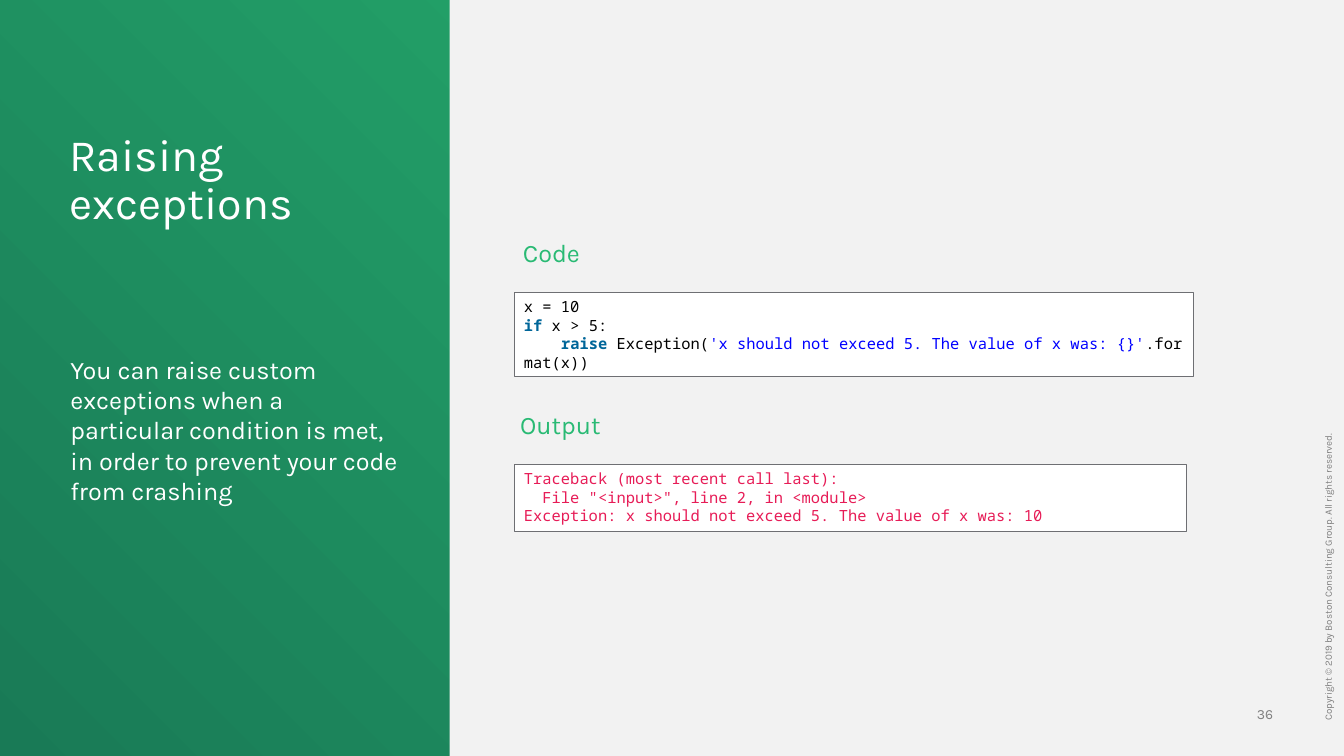
from dataclasses import dataclass

from lxml import etree
from pptx import Presentation, util as u
from pptx.dml.color import RGBColor
from pptx.enum import shapes, text

COLS, ROWS = 160, 90
CELL = 7.5 / ROWS
NBSP = chr(160)
MID, TOP, LOW = (text.MSO_ANCHOR.MIDDLE, text.MSO_ANCHOR.TOP,
                 text.MSO_ANCHOR.BOTTOM)
LEFT, MEAN, RIGHT = (text.PP_ALIGN.LEFT, text.PP_ALIGN.CENTER,
                     text.PP_ALIGN.RIGHT)


@dataclass(frozen=True)
class Theme:
    sans: str = "Karla"
    mono: str = "Noto Sans Mono"
    green: str = "29BA74"
    dark: str = "197A56"
    pale: str = "F2F2F2"
    white: str = "FFFFFF"
    black: str = "000000"
    grey: str = "808080"
    edge: str = "6E6F73"
    key: str = "006699"
    quote: str = "0000FF"
    error: str = "E71C57"
    title: int = 32
    body: int = 18
    code: int = 11
    page: int = 10
    legal: int = 7


T = Theme()


def rgb(tone):
    return RGBColor.from_string(tone)


def place(box):
    """Turn a box in grid cells into slide lengths."""
    return [u.Inches(n * CELL) for n in box]


def rect(slide, box, fill, edge=None):
    shape = slide.shapes.add_shape(shapes.MSO_SHAPE.RECTANGLE, *place(box))
    shape.shadow.inherit = False
    shape.fill.solid()
    shape.fill.fore_color.rgb = rgb(fill)
    if edge:
        shape.line.color.rgb = rgb(edge)
        shape.line.width = u.Pt(0.75)
    else:
        shape.line.fill.background()
    return shape


def write(shape, lines, font, size, align=LEFT, anchor=TOP, inset=True,
          space=None):
    """Fill a shape with lines, each a list of (words, colour, bold) runs."""
    frame = shape.text_frame
    frame.word_wrap = True
    frame.vertical_anchor = anchor
    if not inset:
        frame.margin_left = frame.margin_right = 0
        frame.margin_top = frame.margin_bottom = 0
    for i, line in enumerate(lines):
        para = frame.add_paragraph() if i else frame.paragraphs[0]
        para.alignment = align
        if space:
            para.line_spacing = space
        for words, tone, bold in line:
            run = para.add_run()
            run.text = words
            run.font.name = font
            run.font.size = u.Pt(size)
            run.font.bold = bold
            run.font.color.rgb = rgb(tone)


def label(slide, box, words, size, tone, **style):
    shape = slide.shapes.add_textbox(*place(box))
    write(shape, [[(words, tone, False)]], T.sans, size, **style)
    return shape


def back(slide):
    fill = slide.background.fill
    fill.gradient()
    fill.gradient_angle = 225
    for stop, tone in zip(fill.gradient_stops, (T.green, T.dark)):
        stop.color.rgb = rgb(tone)


def side(slide, box, title, body):
    """Heading and message on the green band."""
    x, y, w, h = box
    label(slide, (x + 8.28, y + 15.24, w - 12.48, 12.6), title, T.title,
          T.white, anchor=MID, inset=False, space=0.9)
    label(slide, (x + 7.2, y + 22.32, w - 12, h - 32.28), body, T.body,
          T.white, anchor=MID)


def sample(slide, box, name, mid, lines):
    """Framed listing, with its name centred mid cells from the left edge."""
    x, y, w, h = box
    wide, tall = 29, 11.16
    label(slide, (x + mid - wide / 2, y - 10.32, wide, tall), name, T.body,
          T.green, align=MEAN, anchor=MID)
    write(rect(slide, box, T.white, T.edge), lines, T.mono, T.code)


def foot(slide, box, legal, page):
    """Page number and upright copyright line in the right margin."""
    x, y, w, h = box
    label(slide, (x + w - 13.48, y + h - 6, 5.04, 2.04), page, T.page,
          T.grey, align=RIGHT, anchor=LOW, inset=False)
    long, thin = 67.32, 1.32
    note = label(slide, (x + w - 1.78 - long / 2, y + h - 37.86 - thin / 2,
                         long, thin),
                 legal, T.legal, T.grey, inset=False, space=0.9)
    note.rotation = 270


def fixed(lines):
    """Keep code spacing unbroken, so that long lines wrap anywhere."""
    return [[(words.replace(" ", NBSP), tone, bold)
             for words, tone, bold in line] for line in lines]


def main():
    deck = Presentation()
    deck.slide_width, deck.slide_height = place((COLS, ROWS))
    slide = deck.slides.add_slide(deck.slide_layouts[6])
    band = 53.52
    main_box = (band, 0, COLS - band, ROWS)
    back(slide)
    rect(slide, main_box, T.pale)
    foot(slide, main_box,
         "Copyright © 2019 by Boston Consulting Group. All rights reserved.",
         "36")
    side(slide, (0, 0, band, ROWS), "Raising exceptions",
         "You can raise custom exceptions when a particular condition is "
         "met, in order to prevent your code from crashing")
    code = [
        [("x = 10", T.black, False)],
        [("if", T.key, True), (" x > 5:", T.black, False)],
        [("    ", T.black, False), ("raise", T.key, True),
         (" Exception(", T.black, False),
         ("'x should not exceed 5. The value of x was: {}'", T.quote, False),
         (".format(x))", T.black, False)],
    ]
    trace = [[(line, T.error, False)] for line in (
        "Traceback (most recent call last):",
        '  File "<input>", line 2, in <module>',
        "Exception: x should not exceed 5. The value of x was: 10")]
    left = band + 7.68
    sample(slide, (left, 34.8, 80.88, 10.08), "Code", 4.44, fixed(code))
    sample(slide, (left, 55.32, 80.04, 7.92), "Output", 5.52, fixed(trace))
    deck.save("out.pptx")


if __name__ == "__main__":
    main()
